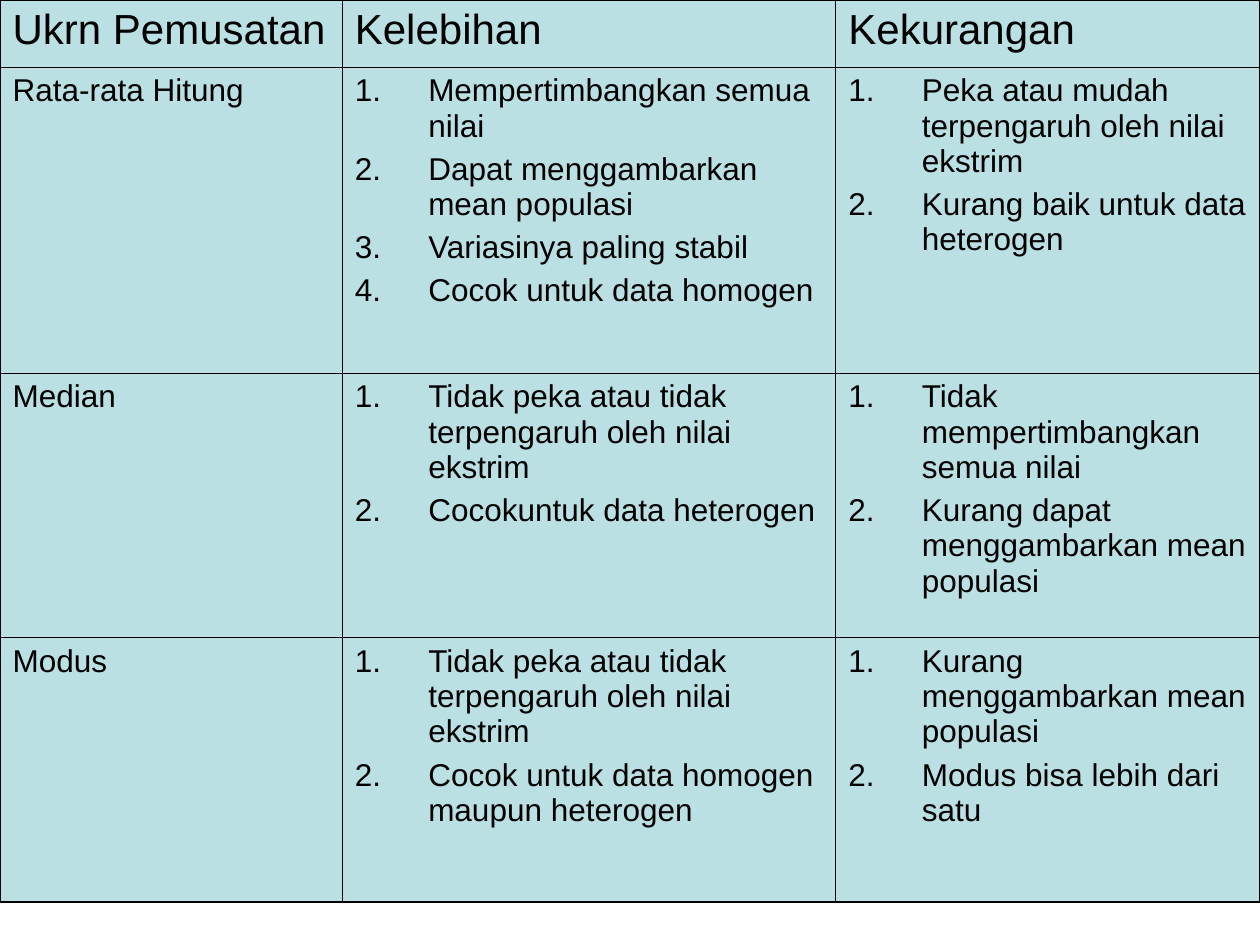
from lxml.etree import SubElement
from pptx import Presentation
from pptx.dml.color import RGBColor
from pptx.oxml.ns import qn
from pptx.util import Cm, Pt

BLACK = RGBColor(0x00, 0x00, 0x00)
PALE_TEAL = RGBColor(0xBB, 0xE0, 0xE3)
FONT = "Arial"
INDENT = Cm(1.48)
THIN, THICK = Pt(0.45), Pt(1.08)

COLUMN_WIDTHS = [6.9, 9.95, 8.55]
ROW_HEIGHTS = [1.35, 6.17, 5.33, 5.33]
ROWS = [
    ["Ukrn Pemusatan", "Kelebihan", "Kekurangan"],
    [
        "Rata-rata Hitung",
        [
            "Mempertimbangkan semua nilai",
            "Dapat menggambarkan mean populasi",
            "Variasinya paling stabil",
            "Cocok untuk data homogen",
        ],
        [
            "Peka atau mudah terpengaruh oleh nilai ekstrim",
            "Kurang baik untuk data heterogen",
        ],
    ],
    [
        "Median",
        [
            "Tidak peka atau tidak terpengaruh oleh nilai ekstrim",
            "Cocokuntuk data heterogen",
        ],
        [
            "Tidak mempertimbangkan semua nilai",
            "Kurang dapat menggambarkan mean populasi",
        ],
    ],
    [
        "Modus",
        [
            "Tidak peka atau tidak terpengaruh oleh nilai ekstrim",
            "Cocok untuk data homogen maupun heterogen",
        ],
        [
            "Kurang menggambarkan mean populasi",
            "Modus bisa lebih dari satu",
        ],
    ],
]


def add_border(cell, side, width):
    line = SubElement(cell._tc.get_or_add_tcPr(), qn(f"a:ln{side}"), w=str(width))
    fill = SubElement(line, qn("a:solidFill"))
    SubElement(fill, qn("a:srgbClr"), val=str(BLACK))


def number_paragraph(paragraph):
    properties = paragraph._p.get_or_add_pPr()
    properties.set("marL", str(INDENT))
    properties.set("indent", str(-INDENT))
    color = SubElement(properties, qn("a:buClr"))
    SubElement(color, qn("a:srgbClr"), val=str(BLACK))
    SubElement(properties, qn("a:buFont"), typeface=FONT)
    SubElement(properties, qn("a:buAutoNum"), type="arabicPeriod")


presentation = Presentation()
presentation.slide_width = Cm(25.4)
presentation.slide_height = Cm(19.05)
slide = presentation.slides.add_slide(presentation.slide_layouts[6])

last_row, last_column = len(ROWS) - 1, len(COLUMN_WIDTHS) - 1
table = slide.shapes.add_table(
    len(ROWS), len(COLUMN_WIDTHS), Cm(0), Cm(0),
    Cm(sum(COLUMN_WIDTHS)), Cm(sum(ROW_HEIGHTS)),
).table
table.first_row = False
table.horz_banding = False
for column, width in zip(table.columns, COLUMN_WIDTHS):
    column.width = Cm(width)
for row, height in zip(table.rows, ROW_HEIGHTS):
    row.height = Cm(height)

for row_index, row_content in enumerate(ROWS):
    size, space = (24, 6) if row_index == 0 else (18, 4.5)
    for column_index, content in enumerate(row_content):
        cell = table.cell(row_index, column_index)
        outer_sides = {
            "L": column_index == 0,
            "R": column_index == last_column,
            "T": row_index == 0,
            "B": row_index == last_row,
        }
        for side, is_outer in outer_sides.items():
            add_border(cell, side, THICK if is_outer else THIN)
        cell.fill.solid()
        cell.fill.fore_color.rgb = PALE_TEAL

        numbered = isinstance(content, list)
        cell.text_frame.text = "\n".join(content) if numbered else content
        for paragraph in cell.text_frame.paragraphs:
            paragraph.space_before = Pt(space)
            if numbered:
                number_paragraph(paragraph)
            font = paragraph.runs[0].font
            font.name = FONT
            font.size = Pt(size)
            font.color.rgb = BLACK

presentation.save("out.pptx")
